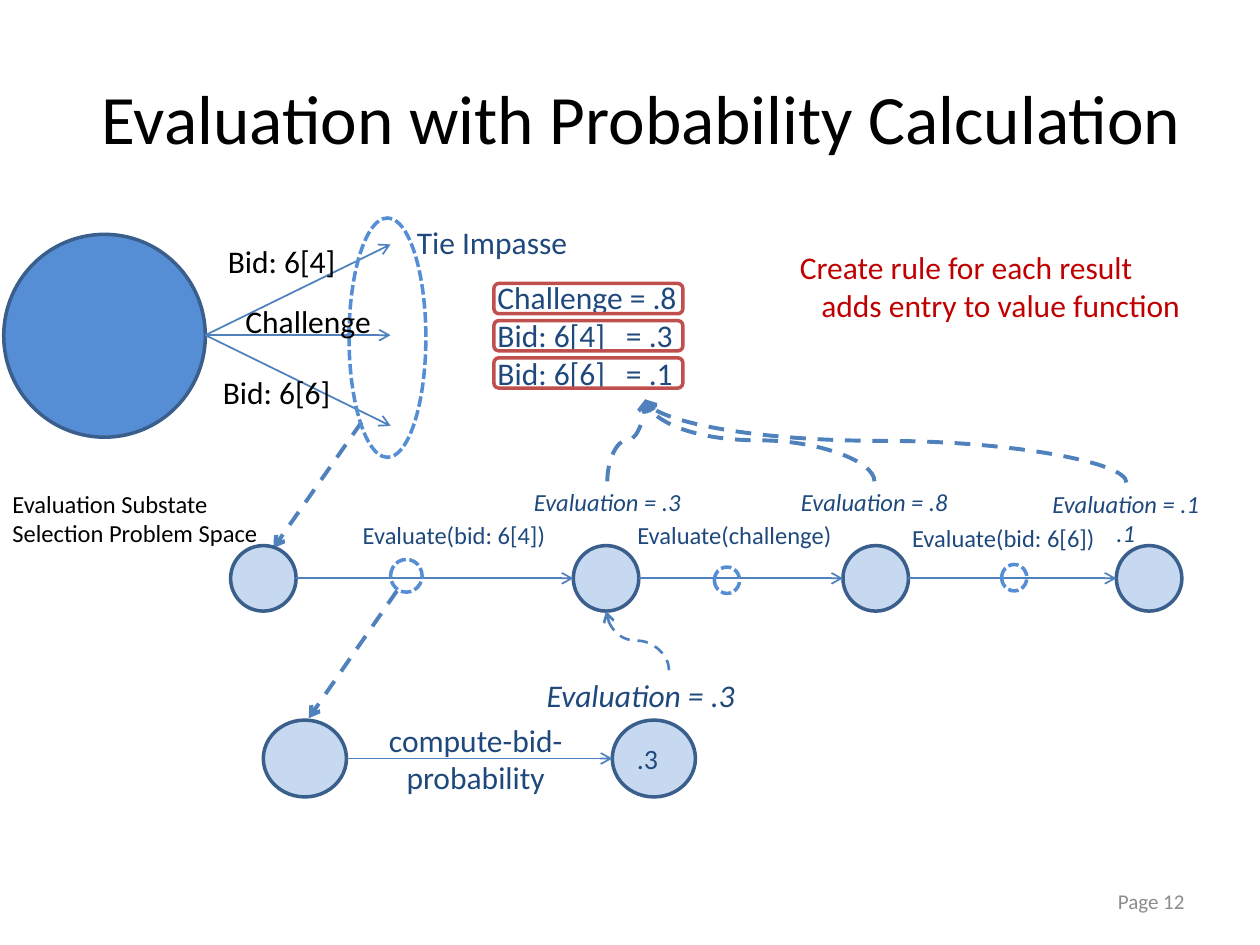
from lxml import etree
from pptx import Presentation
from pptx.dml.color import RGBColor
from pptx.enum.dml import MSO_LINE
from pptx.enum.shapes import MSO_CONNECTOR, MSO_SHAPE
from pptx.enum.text import MSO_ANCHOR, PP_ALIGN
from pptx.oxml.ns import qn
from pptx.util import Inches, Pt

OVAL, ROUNDED = MSO_SHAPE.OVAL, MSO_SHAPE.ROUNDED_RECTANGLE
STRAIGHT, CURVE = MSO_CONNECTOR.STRAIGHT, MSO_CONNECTOR.CURVE
DASH, SQUARE_DASH = MSO_LINE.DASH, MSO_LINE.SQUARE_DOT
LEFT, CENTER, RIGHT = PP_ALIGN.LEFT, PP_ALIGN.CENTER, PP_ALIGN.RIGHT
TOP, MIDDLE = MSO_ANCHOR.TOP, MSO_ANCHOR.MIDDLE

BLACK, GREY, NAVY, RED = "000000", "8C8C8C", "1F497D", "C00000"
BLUE, PALE, EDGE, ARROW, FRAME = "558ED5", "C6D9F1", "3A5F8C", "4F81BD", "C0504D"

STATE_SIZE = 0.52
STATE_Y = 4.59
STATE_LEFTS = [1.83, 4.55, 6.69, 8.86]
SUB_SIZE = (0.66, 0.61)
SUB_Y = 6.02
SUB_LEFTS = [2.09, 4.86]
TIE_START = (1.63, 2.66)
TIE_X, TIE_STEP = 3.1, 0.72
RESULT = (5.12, 3.17)
VALUE_FRAME = (3.92, 2.25, 1.5, 0.24)
VALUE_STEP = 0.295
EQUALS_TAB = 1.02
HANGING = 0.17

OPERATORS = [
    (2.77, 1.73, 0.61, 1.9),
    (3.1, 4.44, 0.25, 0.26),
    (5.67, 4.5, 0.2, 0.21),
    (7.95, 4.48, 0.2, 0.21),
]
SUBSTATE_LINKS = [((2.87, 3.35), (2.17, 4.35)), ((3.15, 4.69), (2.45, 5.7))]
RESULT_CURVES = [
    ((6.94, 3.82), RESULT, 2.25),
    ((8.94, 3.83), RESULT, 2.25),
    ((4.82, 3.82), RESULT, 2.25),
    ((5.31, 5.32), (4.81, 4.85), 1.5),
]

HEADINGS = [
    ((0.22, 0.3, 9.74, 1.25), ["Evaluation with Probability Calculation"],
     dict(size=39.6, align=CENTER, anchor=MIDDLE)),
    ((7.17, 6.95, 2.33, 0.4), ["Page 12"],
     dict(size=12, color=GREY, align=RIGHT, anchor=MIDDLE)),
]
LABELS = [
    ((2.43, 5.67, 2.69, 0.71), ["compute-bid-", "probability"], dict(color=NAVY, align=CENTER)),
    ((3.21, 1.72, 1.43, 0.4), ["Tie Impasse"], dict(color=NAVY)),
    ((4.24, 5.32, 2.16, 0.4), ["Evaluation = .3"], dict(color=NAVY, italic=True)),
    ((3.85, 2.16, 2.54, 1.01), ["Challenge = .8", "Bid: 6[4]\t= .3", "Bid: 6[6]\t= .1"],
     dict(color=NAVY, tab=EQUALS_TAB)),
    ((1.71, 1.87, 1.37, 0.4), ["Bid: 6[4]"], {}),
    ((1.85, 2.35, 1.37, 0.4), ["Challenge"], {}),
    ((1.67, 2.91, 1.37, 0.4), ["Bid: 6[6]"], {}),
    ((6.25, 1.92, 3.5, 0.71), ["Create rule for each result", "adds entry to value function"],
     dict(color=RED, indent=HANGING)),
    ((0, 3.83, 2.37, 0.57), ["Evaluation Substate", "Selection Problem Space"], dict(size=14)),
]
EVALUATE_LABELS = [
    ((2.78, 4.08, 2.37, 0.34), "Evaluate(bid: 6[4])"),
    ((4.96, 4.08, 2.37, 0.34), "Evaluate(challenge)"),
    ((7.14, 4.1, 1.91, 0.34), "Evaluate(bid: 6[6])"),
]
EVALUATION_LABELS = [
    ((3.94, 3.82, 1.76, 0.34), ["Evaluation = .3"]),
    ((6.06, 3.82, 1.76, 0.34), ["Evaluation = .8"]),
    ((7.91, 3.83, 2.05, 0.57), ["Evaluation = .1", ".1"]),
]


def rgb(value):
    """Turn a hex string into a colour."""
    return RGBColor.from_string(value)


def write(frame, lines, size=18, color=BLACK, italic=False, align=LEFT, anchor=TOP,
          tab=None, indent=0):
    """Fill a text frame with one paragraph per line."""
    frame.word_wrap = True
    frame.vertical_anchor = anchor
    formats = dict(name="Calibri", size=Pt(size), italic=italic)
    for index, line in enumerate(lines):
        para = frame.paragraphs[0] if index == 0 else frame.add_paragraph()
        para.alignment = align
        properties = para._p.get_or_add_pPr()
        if indent and index:
            properties.set("marL", str(Inches(indent)))
        if tab and "\t" in line:
            stops = etree.SubElement(properties, qn("a:tabLst"))
            etree.SubElement(stops, qn("a:tab"), pos=str(Inches(tab)), algn="l")
        span = para.add_run()
        span.text = line
        for name, value in formats.items():
            setattr(span.font, name, value)
        span.font.color.rgb = rgb(color)


def add_text(page, place, lines, **style):
    """Add a text box."""
    box = page.shapes.add_textbox(*map(Inches, place))
    write(box.text_frame, lines, **style)


def add_outline(page, kind, place, edge, fill=None, dash=None):
    """Add a preset shape with a two-point outline."""
    shape = page.shapes.add_shape(kind, *map(Inches, place))
    shape.shadow.inherit = False
    if fill:
        shape.fill.solid()
        shape.fill.fore_color.rgb = rgb(fill)
    else:
        shape.fill.background()
    shape.line.color.rgb = rgb(edge)
    shape.line.width = Pt(2)
    if dash:
        shape.line.dash_style = dash
    return shape


def add_arrow(page, start, end, width=1, dash=None, kind=STRAIGHT):
    """Add a connector with an open arrowhead at its end."""
    arrow = page.shapes.add_connector(kind, *map(Inches, (*start, *end)))
    arrow.line.color.rgb = rgb(ARROW)
    arrow.line.width = Pt(width)
    if dash:
        arrow.line.dash_style = dash
    etree.SubElement(arrow.line._get_or_add_ln(), qn("a:tailEnd"), type="arrow")
    etree.SubElement(arrow._element.spPr, qn("a:effectLst"))
    return arrow


def add_rising_curve(page, start, end, width):
    """Add a curve that leaves upward, as a sideways curve turned a quarter."""
    (x1, y1), (x2, y2) = start, end
    middle_x, middle_y = (x1 + x2) / 2, (y1 + y2) / 2
    half_run, half_rise = (x2 - x1) / 2, (y1 - y2) / 2
    curve = add_arrow(page, (middle_x - half_rise, middle_y - half_run),
                      (middle_x + half_rise, middle_y + half_run), width, DASH, CURVE)
    curve._element.spPr.find(qn("a:xfrm")).set("rot", str(270 * 60000))


def add_chain(page, lefts, middle, size):
    """Add a row of states joined by arrows and return the states."""
    width, height = size
    states = [add_outline(page, OVAL, (left, middle - height / 2, width, height), EDGE, PALE)
              for left in lefts]
    for left, following in zip(lefts, lefts[1:]):
        add_arrow(page, (left + width, middle), (following, middle))
    return states


def main():
    """Build the slide and save the deck."""
    deck = Presentation()
    deck.slide_width, deck.slide_height = Inches(10), Inches(7.5)
    page = deck.slides.add_slide(deck.slide_layouts[6])

    for place, lines, style in HEADINGS:
        add_text(page, place, lines, **style)
    add_outline(page, OVAL, (0.03, 1.86, 1.6, 1.61), EDGE, BLUE)
    for step in (-1, 0, 1):
        add_arrow(page, TIE_START, (TIE_X, TIE_START[1] + step * TIE_STEP))
    for start, end in SUBSTATE_LINKS:
        add_arrow(page, start, end, 2.25, DASH)
    add_chain(page, STATE_LEFTS, STATE_Y, (STATE_SIZE, STATE_SIZE))
    final_state = add_chain(page, SUB_LEFTS, SUB_Y, SUB_SIZE)[-1]
    write(final_state.text_frame, [".3"], size=16, color=NAVY, anchor=MIDDLE)
    for place in OPERATORS:
        add_outline(page, OVAL, place, BLUE, dash=SQUARE_DASH)
    for start, end, width in RESULT_CURVES:
        add_rising_curve(page, start, end, width)

    for place, lines, style in LABELS:
        add_text(page, place, lines, **style)
    for place, line in EVALUATE_LABELS:
        add_text(page, place, [line], size=14, color=NAVY)
    for place, lines in EVALUATION_LABELS:
        add_text(page, place, lines, size=14, color=NAVY, italic=True, align=CENTER)
    left, top, width, height = VALUE_FRAME
    for row in range(3):
        add_outline(page, ROUNDED, (left, top + row * VALUE_STEP, width, height), FRAME)

    deck.save("out.pptx")


if __name__ == "__main__":
    main()
